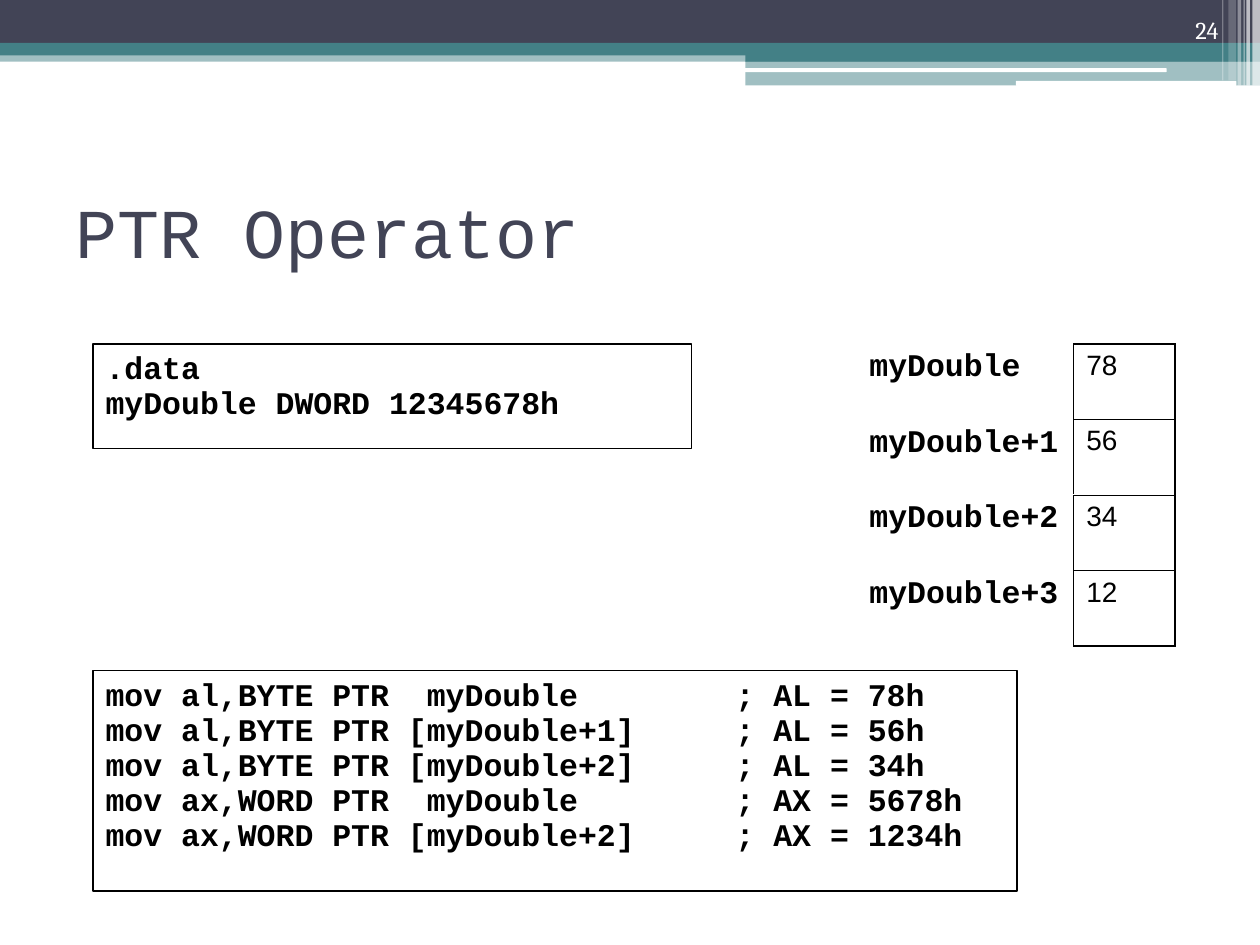
from dataclasses import dataclass

from lxml.etree import SubElement
from pptx import Presentation
from pptx.dml.color import RGBColor
from pptx.enum.shapes import MSO_SHAPE as Shape
from pptx.enum.text import MSO_ANCHOR as Anchor, PP_ALIGN as Align
from pptx.oxml.ns import qn
from pptx.util import Pt

NAVY, TEAL, WHITE, BLACK = "424456", "438086", "FFFFFF", "000000"
MONO = "Courier New"
THIN, THICK = 0.45, 1.08


@dataclass
class Band:
    left: float
    top: float
    width: float
    height: float
    color: str
    opacity: int = 100
    rounded: bool = False


@dataclass
class CodeBox:
    top: float
    width: float
    height: float
    code: str
    tabs: tuple = ()


BANDS = [
    Band(0, 28.8, 720, 6.5, TEAL, 50),
    Band(0, 0, 720, 24.5, NAVY),
    Band(0, 24.5, 720, 7.2, TEAL),
    Band(426, 28, 294, 7.2, TEAL),
    Band(426, 34.8, 294, 14, TEAL, 50),
    Band(425.5, 39, 241.2, 2.2, WHITE, rounded=True),
    Band(580.5, 46.2, 126, 2.9, WHITE, rounded=True),
    # Vertical stripes at the right edge
    Band(715.7, 0, 4.3, 49, WHITE, 65),
    Band(712.2, 0, 2, 49, WHITE, 65),
    Band(710.6, 0, 0.7, 49, WHITE, 60),
    Band(707.2, 0, 2, 49, WHITE, 40),
    Band(702, 0, 4.3, 46, WHITE, 20),
    Band(698.4, 0, 0.7, 46, WHITE, 30),
]

CODE_BOXES = [
    CodeBox(196.5, 342, 60, ".data\nmyDouble DWORD 12345678h"),
    CodeBox(383.2, 528, 126, "\n".join([
        "mov al,BYTE PTR  myDouble\t\t; AL = 78h",
        "mov al,BYTE PTR [myDouble+1]\t\t; AL = 56h",
        "mov al,BYTE PTR [myDouble+2]\t\t; AL = 34h",
        "mov ax,WORD PTR  myDouble\t\t; AX = 5678h",
        "mov ax,WORD PTR [myDouble+2]\t\t; AX = 1234h",
    ]), (324, 360)),
]

MEMORY = [("myDouble", "78"), ("myDouble+1", "56"),
          ("myDouble+2", "34"), ("myDouble+3", "12")]


def rgb(color: str) -> RGBColor:
    return RGBColor.from_string(color)


def style_text(frame, font: str, size: float, color: str, bold: bool = False) -> None:
    for paragraph in frame.paragraphs:
        for run in paragraph.runs:
            run.font.name = font
            run.font.size = Pt(size)
            run.font.bold = bold
            run.font.color.rgb = rgb(color)


def draw_band(slide, band: Band) -> None:
    kind = Shape.ROUNDED_RECTANGLE if band.rounded else Shape.RECTANGLE
    bar = slide.shapes.add_shape(kind, Pt(band.left), Pt(band.top),
                                 Pt(band.width), Pt(band.height))
    bar.shadow.inherit = False
    bar.line.fill.background()
    bar.fill.solid()
    bar.fill.fore_color.rgb = rgb(band.color)
    if band.opacity < 100:
        fill_color = bar.fill._xPr.find(qn("a:solidFill"))[0]
        SubElement(fill_color, qn("a:alpha"), val=str(band.opacity * 1000))


def draw_code(slide, box: CodeBox) -> None:
    panel = slide.shapes.add_shape(Shape.RECTANGLE, Pt(53.2), Pt(box.top),
                                   Pt(box.width), Pt(box.height))
    panel.shadow.inherit = False
    panel.fill.background()
    panel.line.color.rgb = rgb(BLACK)
    panel.line.width = Pt(0.75)
    frame = panel.text_frame
    frame.word_wrap = True
    frame.vertical_anchor = Anchor.TOP
    frame.margin_top = Pt(4)
    frame.text = box.code
    for line in frame.paragraphs:
        if box.tabs:
            stops = SubElement(line._p.get_or_add_pPr(), qn("a:tabLst"))
            for stop in box.tabs:
                SubElement(stops, qn("a:tab"), pos=str(Pt(stop)), algn="l")
        line.alignment = Align.LEFT
        line.line_spacing = Pt(20)
    style_text(frame, MONO, 18, BLACK, True)


def set_borders(cell, **widths: float) -> None:
    properties = cell._tc.get_or_add_tcPr()
    for side in "LRTB":
        if side in widths:
            border = SubElement(properties, qn(f"a:ln{side}"), w=str(Pt(widths[side])))
            SubElement(SubElement(border, qn("a:solidFill")), qn("a:srgbClr"), val=BLACK)


def draw_memory(slide, left: float, top: float) -> None:
    columns, row_height = (52, 124, 58), 43.2
    table = slide.shapes.add_table(len(MEMORY), len(columns), Pt(left), Pt(top),
                                   Pt(sum(columns)), Pt(row_height * len(MEMORY))).table
    table.first_row = table.horz_banding = False
    for column, width in zip(table.columns, columns):
        column.width = Pt(width)
    last = len(MEMORY) - 1
    for i, (address, value) in enumerate(MEMORY):
        table.rows[i].height = Pt(row_height)
        spacer, label, byte = table.rows[i].cells
        label.text_frame.text = address
        style_text(label.text_frame, MONO, 18, BLACK, True)
        byte.text_frame.text = value
        style_text(byte.text_frame, "Arial", 16, BLACK)
        set_borders(label, R=THIN)
        set_borders(byte, L=THIN, R=THICK, T=THICK if i == 0 else THIN,
                    B=THICK if i == last else THIN)
        for cell in (spacer, label, byte):
            cell.fill.background()


def main() -> None:
    deck = Presentation()
    deck.slide_width, deck.slide_height = Pt(720), Pt(540)
    slide = deck.slides.add_slide(deck.slide_layouts[5])

    # Header bands
    for band in BANDS:
        draw_band(slide, band)

    # Title
    title = slide.shapes.title
    title.left, title.top, title.width, title.height = Pt(36), Pt(90), Pt(648), Pt(84)
    title.text_frame.text = "PTR Operator"
    title.text_frame.vertical_anchor = Anchor.MIDDLE
    title.text_frame.paragraphs[0].alignment = Align.LEFT
    style_text(title.text_frame, MONO, 40, NAVY)

    # Page number
    page = slide.shapes.add_textbox(Pt(643.7), Pt(0), Pt(59.8), Pt(28.8)).text_frame
    page.word_wrap = True
    page.vertical_anchor = Anchor.BOTTOM
    page.text = "24"
    page.paragraphs[0].alignment = Align.RIGHT
    page.paragraphs[0].line_spacing = 0.8
    style_text(page, "Cambria", 13.9, WHITE)

    # Code listings and memory layout
    for box in CODE_BOXES:
        draw_code(slide, box)
    draw_memory(slide, 437.6, 196.5)

    deck.save("out.pptx")


if __name__ == "__main__":
    main()
